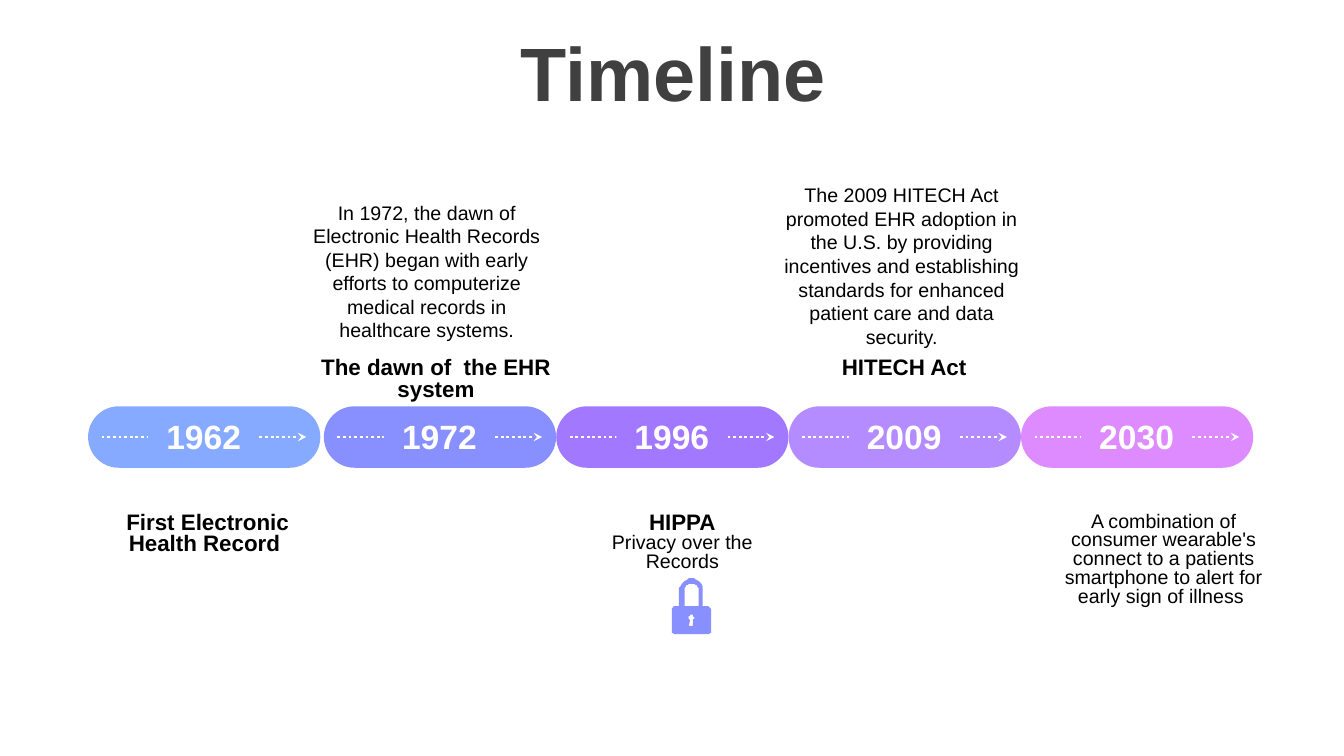
import math
import pptx
import pptx.util
import pptx.dml.color
import pptx.enum.dml
import pptx.enum.shapes
import pptx.enum.text
import pptx.oxml
import lxml.etree

Pt = pptx.util.Pt
MSO_SHAPE = pptx.enum.shapes.MSO_SHAPE
COLORS = {
    "title": "404040", "text": "000000", "white": "FFFFFF",
    "1962": "86AAFF", "1972": "888FFF", "1996": "A178FF",
    "2009": "B58CFF", "2030": "DD8BFF", "lock": "888FFF",
}


def rgb(name):
    return pptx.dml.color.RGBColor.from_string(COLORS[name])


def write(sp, lines, color, spacing=1.0):
    """Fill a shape with centred (text, size, bold) paragraphs."""
    tf = sp.text_frame
    tf.word_wrap = True
    tf.auto_size = pptx.enum.text.MSO_AUTO_SIZE.NONE
    for i, (text, size, bold) in enumerate(lines):
        p = tf.paragraphs[0] if i == 0 else tf.add_paragraph()
        p.text = text
        p.alignment = pptx.enum.text.PP_ALIGN.CENTER
        p.line_spacing = spacing
        for r in p.runs:
            r.font.name = "Arial"
            r.font.size = Pt(size)
            r.font.bold = bold
            r.font.color.rgb = rgb(color)


prs = pptx.Presentation()
prs.slide_width, prs.slide_height = Pt(960), Pt(540)
s = prs.slides.add_slide(prs.slide_layouts[5])

# Title
title = s.shapes.title
title.left, title.top, title.width, title.height = Pt(25.2), Pt(26.6), Pt(911.5), Pt(57)
write(title, [("Timeline", 54, True)], "title", 0.9)
title.text_frame.vertical_anchor = pptx.enum.text.MSO_ANCHOR.MIDDLE

# Year pills: the first stands slightly apart, the rest touch
pill_top, pill_w, pill_h = 290.2, 165.9, 43.9
for i, year in enumerate(["1962", "1972", "1996", "2009", "2030"]):
    x = 62.9 if i == 0 else 231.3 + 166 * (i - 1)
    pill = s.shapes.add_shape(MSO_SHAPE.ROUNDED_RECTANGLE,
                              Pt(x), Pt(pill_top), Pt(pill_w), Pt(pill_h))
    pill.adjustments[0] = 0.5

    y = pill_top + pill_h / 2
    arrow = s.shapes.add_connector(pptx.enum.shapes.MSO_CONNECTOR.STRAIGHT,
                                   Pt(x + 9.7), Pt(y), Pt(x + 155.9), Pt(y))
    arrow.line.color.rgb = rgb("white")
    arrow.line.width = Pt(2)
    arrow.line.dash_style = pptx.enum.dml.MSO_LINE.ROUND_DOT
    ln = arrow.line._get_or_add_ln()
    lxml.etree.SubElement(ln, pptx.oxml.ns.qn("a:tailEnd"), type="stealth")
    lxml.etree.SubElement(arrow._element.spPr, pptx.oxml.ns.qn("a:effectLst"))

    label = s.shapes.add_shape(MSO_SHAPE.RECTANGLE,
                               Pt(x + 43), Pt(pill_top + 3.6), Pt(79.2), Pt(36.3))
    write(label, [(year, 24, True)], "white")
    label.text_frame.vertical_anchor = pptx.enum.text.MSO_ANCHOR.TOP
    for sp in (pill, label):
        sp.fill.solid()
        sp.fill.fore_color.rgb = rgb(year)
        sp.line.fill.background()
        sp.shadow.inherit = False

# Headings and descriptions: left, top, width, height, spacing, paragraphs
notes = [
    (82.8, 362.9, 131, 54, 0.8, [("First Electronic Health Record ", 16, True)]),
    (219.6, 252.7, 183.6, 38.2, 0.8, [("The dawn of  the EHR system", 16, True)]),
    (213.8, 139.7, 182.2, 108.7, 1.0, [
        ("In 1972, the dawn of Electronic Health Records (EHR) began with early "
         "efforts to computerize medical records in healthcare systems.", 14, False)]),
    (421.9, 362.9, 131, 49.7, 0.8, [("HIPPA", 16, True),
                                    ("Privacy over the Records", 14, False)]),
    (580.3, 252.7, 131, 23, 0.8, [("HITECH Act", 16, True)]),
    (553, 127.4, 182.2, 126, 1.0, [
        ("The 2009 HITECH Act promoted EHR adoption in the U.S. by providing incentives "
         "and establishing standards for enhanced patient care and data security.", 14, False)]),
    (746.6, 362.9, 169.2, 74.9, 0.8, [
        ("A combination of consumer wearable's connect to a patients smartphone "
         "to alert for early sign of illness ", 14, False)]),
]
for left, top, width, height, spacing, lines in notes:
    box = s.shapes.add_textbox(Pt(left), Pt(top), Pt(width), Pt(height))
    write(box, lines, "text", spacing)

# Padlock: each arc is centre x, centre y, radius, start and end angle
cx, left, right, body_top, bottom = 493.9, 480.1, 507.7, 433.3, 453
shackle_y, corner = 421.9, 2
outline = [
    [(cx, shackle_y, 8.6, 180, 360), (cx + 8.6, body_top, 0, 0, 0),
     (right - corner, body_top + corner, corner, 270, 360),
     (right - corner, bottom - corner, corner, 0, 90),
     (left + corner, bottom - corner, corner, 90, 180),
     (left + corner, body_top + corner, corner, 180, 270),
     (cx - 8.6, body_top, 0, 0, 0)],
    [(cx, shackle_y, 5.1, 180, 360), (cx + 5.1, body_top, 0, 0, 0),
     (cx - 5.1, body_top, 0, 0, 0)],
    [(cx, 441.2, 1.9, 120, 420), (cx + 1.5, 447.1, 0, 0, 0),
     (cx - 1.5, 447.1, 0, 0, 0)],
]
fb = None
for arcs in outline:
    points = []
    for ax, ay, radius, start, end in arcs:
        steps = 16 if radius else 0
        for k in range(steps + 1):
            a = math.radians(start + (end - start) * k / max(steps, 1))
            points.append((ax + radius * math.cos(a), ay + radius * math.sin(a)))
    if fb is None:
        fb = s.shapes.build_freeform(*points[0], scale=Pt(1))
    else:
        fb.move_to(*points[0])
    fb.add_line_segments(points[1:], close=True)
lock = fb.convert_to_shape()
lock.fill.solid()
lock.fill.fore_color.rgb = rgb("lock")
lock.line.fill.background()
lock.shadow.inherit = False

prs.save("out.pptx")
